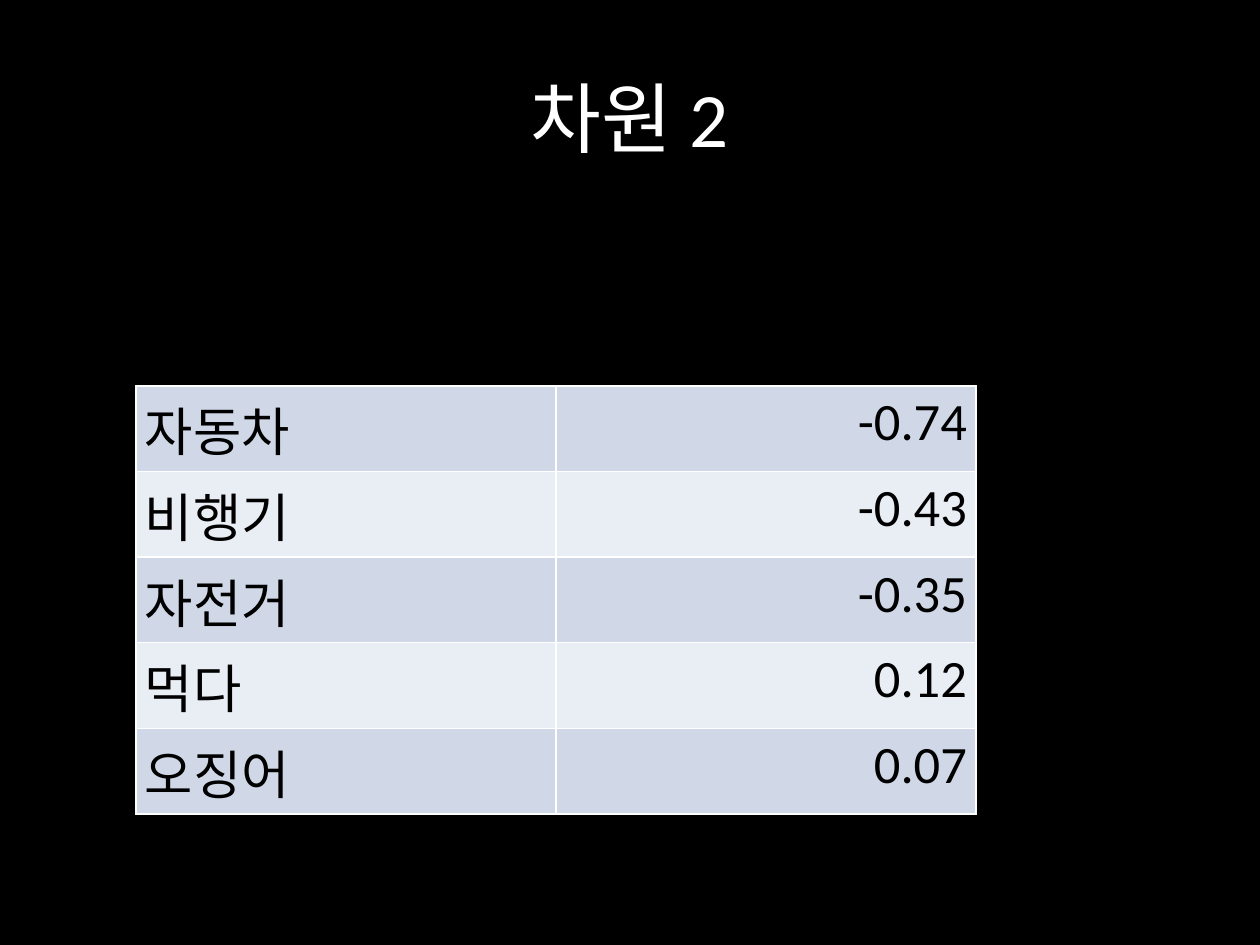
from pptx import Presentation
from pptx.dml.color import RGBColor
from pptx.enum.text import MSO_ANCHOR, PP_ALIGN
from pptx.oxml import parse_xml
from pptx.oxml.ns import nsdecls
from pptx.util import Emu, Pt

LEFT, CENTER, RIGHT = PP_ALIGN.LEFT, PP_ALIGN.CENTER, PP_ALIGN.RIGHT
MIDDLE, TOP = MSO_ANCHOR.MIDDLE, MSO_ANCHOR.TOP
BLACK = RGBColor(0x00, 0x00, 0x00)
WHITE = RGBColor(0xFF, 0xFF, 0xFF)
BANDS = (RGBColor(0xD0, 0xD8, 0xE8), RGBColor(0xE9, 0xED, 0xF4))
PX_PER_INCH = 126
SLIDE_SIZE = (1260, 945)
TITLE_BOX = (63, 38, 1134, 157)
TABLE_BOX = (136, 386, 840, 428)
CELL_MARGINS = {"margin_left": 9, "margin_right": 9, "margin_top": 5, "margin_bottom": 5}
TITLE_FONT = {"name": "Calibri", "size": Pt(44)}
CELL_FONT = {"name": "Calibri", "size": Pt(30)}
WORD_SCORES = [
    ("자동차", "-0.74"),
    ("비행기", "-0.43"),
    ("자전거", "-0.35"),
    ("먹다", "0.12"),
    ("오징어", "0.07"),
]


def px(length):
    """Turn pixels into EMU."""
    return Emu(round(length * 914400 / PX_PER_INCH))


def write(frame, text, font_values, color, alignment):
    """Put one formatted paragraph into a text frame."""
    frame.text = text
    paragraph = frame.paragraphs[0]
    paragraph.alignment = alignment
    font = paragraph.runs[0].font
    for attribute, value in font_values.items():
        setattr(font, attribute, value)
    font.color.rgb = color


def add_borders(cell):
    """Draw a white one-point line on every side of a cell."""
    properties = cell._tc.get_or_add_tcPr()
    for position, side in enumerate(("lnL", "lnR", "lnT", "lnB")):
        border = parse_xml(
            f'<a:{side} {nsdecls("a")} w="{Pt(1)}"><a:solidFill>'
            f'<a:srgbClr val="{WHITE}"/></a:solidFill></a:{side}>'
        )
        properties.insert(position, border)


def add_title(slide, box):
    """Place the centred slide title in its box."""
    title = slide.shapes.add_textbox(*map(px, box)).text_frame
    title.word_wrap = True
    title.vertical_anchor = MIDDLE
    write(title, "차원 2", TITLE_FONT, WHITE, CENTER)


def add_score_table(slide, box):
    """Place the banded table of words and their scores in its box."""
    frame = slide.shapes.add_table(len(WORD_SCORES), 2, *map(px, box))
    scores = frame.table
    scores.first_row = False
    for row, entry in enumerate(WORD_SCORES):
        for column, (text, alignment) in enumerate(zip(entry, (LEFT, RIGHT))):
            cell = scores.cell(row, column)
            for attribute, margin in CELL_MARGINS.items():
                setattr(cell, attribute, px(margin))
            cell.vertical_anchor = TOP
            cell.fill.solid()
            cell.fill.fore_color.rgb = BANDS[row % 2]
            write(cell.text_frame, text, CELL_FONT, BLACK, alignment)
            add_borders(cell)


def main():
    """Build the slide and save it."""
    deck = Presentation()
    deck.slide_width, deck.slide_height = map(px, SLIDE_SIZE)
    slide = deck.slides.add_slide(deck.slide_layouts[6])
    slide.background.fill.solid()
    slide.background.fill.fore_color.rgb = BLACK
    add_title(slide, TITLE_BOX)
    add_score_table(slide, TABLE_BOX)
    deck.save("out.pptx")


if __name__ == "__main__":
    main()
